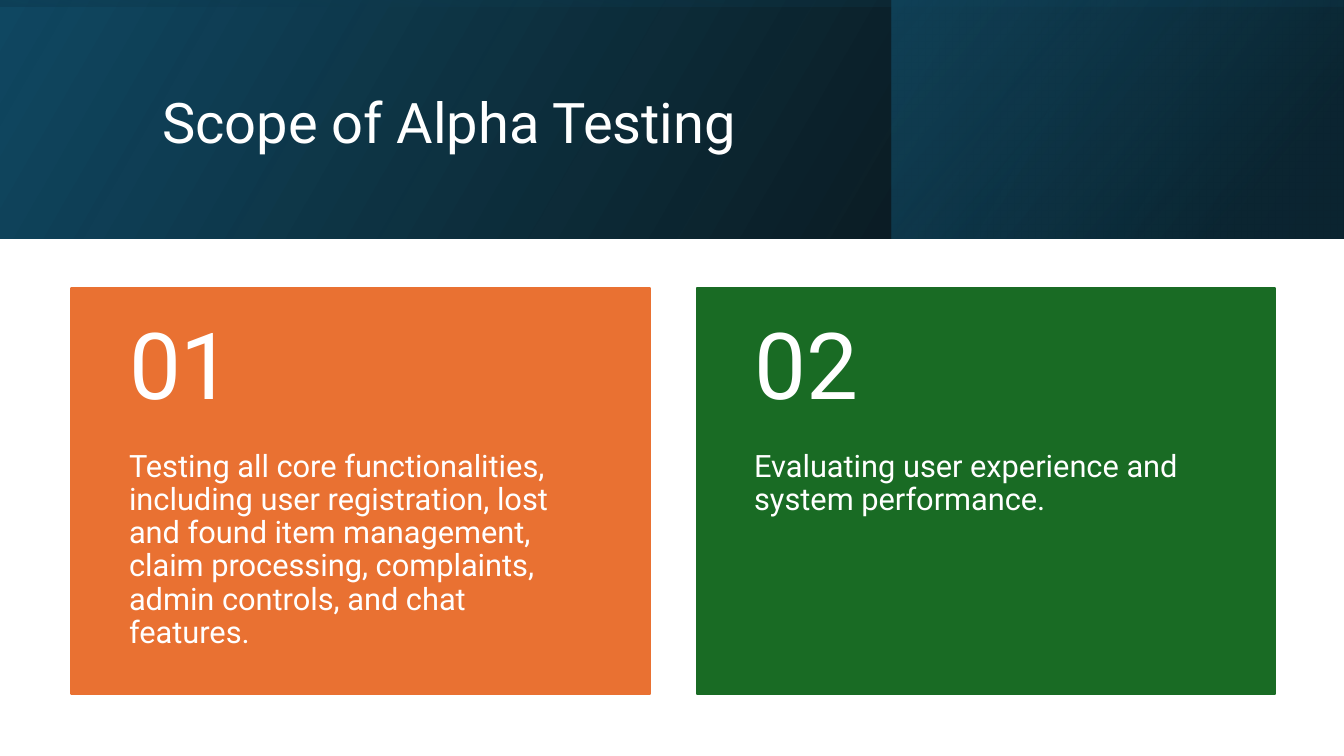
from dataclasses import dataclass

from lxml import etree
from pptx import Presentation
from pptx import util as u
from pptx.dml.color import RGBColor
from pptx.enum import shapes, text
from pptx.oxml.ns import qn


@dataclass(frozen=True)
class Theme:
    font: str = "Roboto"
    white: str = "FFFFFF"
    black: str = "000000"
    navy: str = "104862"
    deep_teal: str = "0B3041"
    teal: str = "156082"
    orange: str = "E97132"
    green: str = "196B24"
    title_size: int = 40
    number_size: int = 66
    body_size: int = 22


theme = Theme()


def write_text(frame, words, size, anchor, insets=None):
    frame.word_wrap = True
    frame.auto_size = text.MSO_AUTO_SIZE.NONE
    frame.vertical_anchor = anchor
    if insets:
        frame.margin_left, frame.margin_top, frame.margin_right, frame.margin_bottom = map(u.Inches, insets)
    paragraph = frame.paragraphs[0]
    paragraph.alignment = text.PP_ALIGN.LEFT
    paragraph.line_spacing = 0.9
    run = paragraph.add_run()
    run.text = words
    run.font.name = theme.font
    run.font.size = u.Pt(size)
    run.font.color.rgb = RGBColor.from_string(theme.white)


presentation = Presentation()
presentation.slide_width = u.Inches(13.33)
presentation.slide_height = u.Inches(7.5)
slide = presentation.slides.add_slide(presentation.slide_layouts[5])

# Header bands: box, rotation, clockwise gradient angle, stops (position, colour, opacity %)
bands = [
    ((0, 0, 13.33, 2.37), 0, 330, [(0, theme.black, 96), (1, theme.navy, 100)]),
    ((8.84, 0, 4.48, 2.37), 0, 320, [(0.19, theme.deep_teal, 68), (1, theme.teal, 48)]),
    ((5.48, -5.48, 2.37, 13.33), 270, 350, [(0.23, theme.navy, 16), (0.99, theme.black, 45)]),
]
for box, rotation, angle, stops in bands:
    band = slide.shapes.add_shape(shapes.MSO_SHAPE.RECTANGLE, *map(u.Inches, box))
    band.shadow.inherit = False
    band.line.fill.background()
    band.rotation = rotation
    band.element.spPr.get_or_add_xfrm().set("flipH", "1")
    band.fill.gradient()
    band.fill.gradient_angle = 360 - angle
    for stop, (position, color, opacity) in zip(band.fill.gradient_stops, stops):
        stop.position = position
        stop.color.rgb = RGBColor.from_string(color)
    for color_element, (position, color, opacity) in zip(band.element.spPr.iter(qn("a:srgbClr")), stops):
        etree.SubElement(color_element, qn("a:alpha")).set("val", str(opacity * 1000))

# Title, in front of the bands
title = slide.shapes.title
title.left, title.top, title.width, title.height = map(u.Inches, (1.51, 0.38, 10.63, 1.72))
write_text(title.text_frame, "Scope of Alpha Testing", theme.title_size, text.MSO_ANCHOR.MIDDLE)
slide.shapes.element.append(title.element)

# Numbered scope cards
scope_items = [
    (theme.orange, "Testing all core functionalities, including user registration, lost and found item "
                   "management, claim processing, complaints, admin controls, and chat features."),
    (theme.green, "Evaluating user experience and system performance."),
]
card_left, card_top, card_step = 0.71, 2.86, 6.2
card_width, card_height, number_height = 5.74, 4.03, 1.61
cards = slide.shapes.add_group_shape()
for index, (color, description) in enumerate(scope_items):
    left = u.Inches(card_left + index * card_step)
    top, width = u.Inches(card_top), u.Inches(card_width)
    card = cards.shapes.add_shape(shapes.MSO_SHAPE.RECTANGLE, left, top, width, u.Inches(card_height))
    card.shadow.inherit = False
    card.fill.solid()
    card.fill.fore_color.rgb = RGBColor.from_string(color)
    card.line.color.rgb = RGBColor.from_string(color)
    card.line.width = u.Pt(1.5)

    body = cards.shapes.add_textbox(left, u.Inches(card_top + number_height), width,
                                    u.Inches(card_height - number_height))
    write_text(body.text_frame, description, theme.body_size, text.MSO_ANCHOR.TOP, (0.57, 0, 0.57, 0.36))

    number = cards.shapes.add_textbox(left, top, width, u.Inches(number_height))
    write_text(number.text_frame, f"{index + 1:02d}", theme.number_size, text.MSO_ANCHOR.MIDDLE,
               (0.57, 0.18, 0.57, 0.18))

presentation.save("out.pptx")
